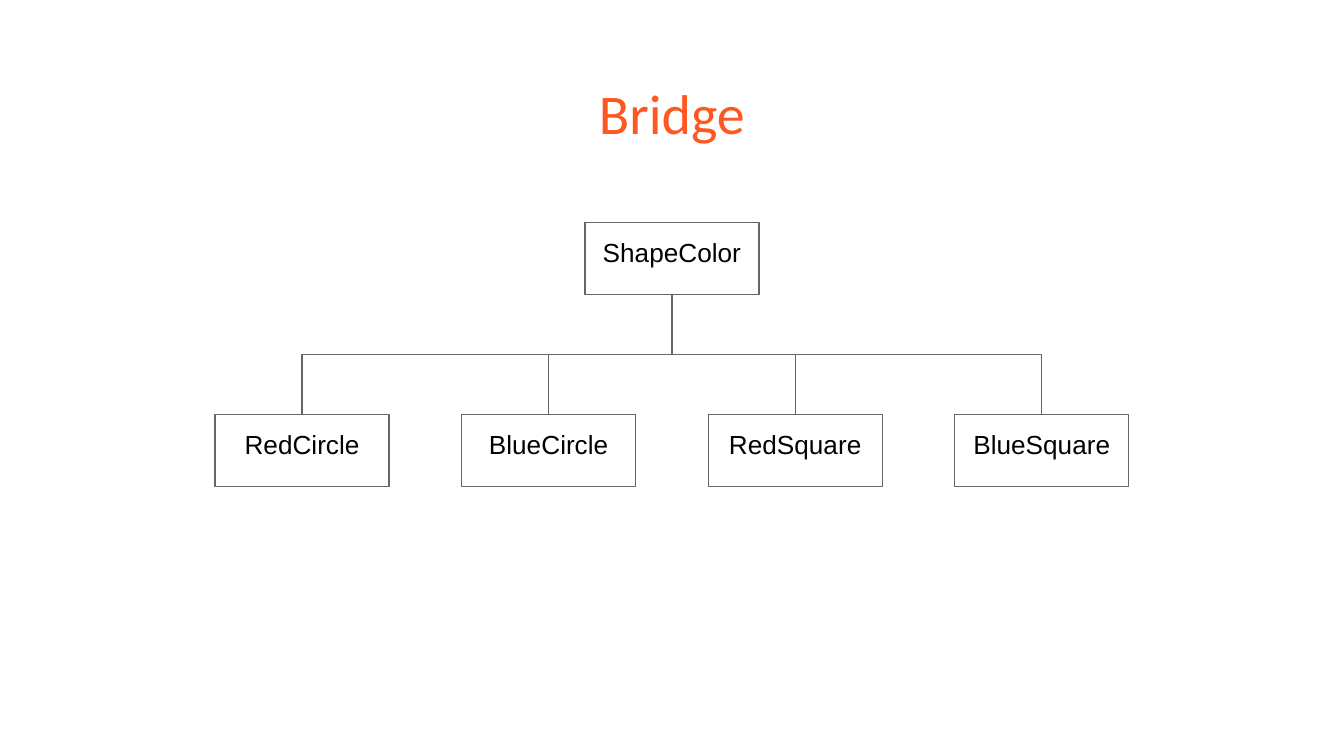
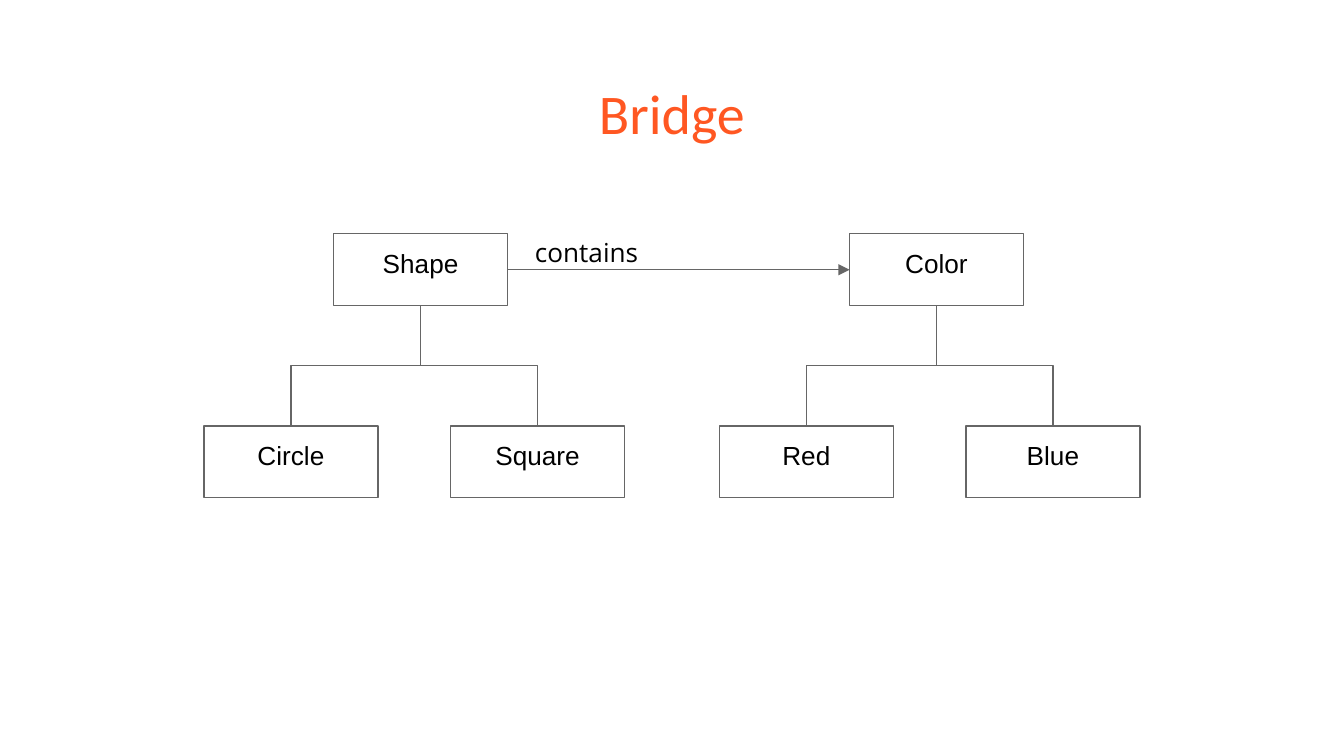
from dataclasses import dataclass

from pptx import Presentation
from pptx.dml.color import RGBColor
from pptx.enum.shapes import MSO_CONNECTOR as Link, MSO_SHAPE as Form
from pptx.enum.text import MSO_ANCHOR as Anchor, PP_ALIGN as Align
from pptx.oxml.ns import qn
from pptx.oxml.xmlchemy import OxmlElement as Element
from pptx.util import Cm, Pt

ORANGE = RGBColor(0xFF, 0x57, 0x22)
GREY = RGBColor(0x66, 0x66, 0x66)
BLACK = RGBColor(0, 0, 0)

BOX_W, BOX_H = 3.29, 1.36
STEP = 4.66  # between the centres of neighbouring children
DROP = 3.63  # from the top of a parent to the top of its children
INSET = Cm(0.25)


@dataclass(frozen=True)
class Style:
    """Look of one piece of text."""
    font: str
    size: int
    color: RGBColor
    align: Align


@dataclass(frozen=True)
class Tree:
    """A parent class and its children, with centres in cm."""
    name: str
    kids: tuple[str, ...]
    x: float
    mid: float
    top: float


TITLE = Style("Calibri", 30, ORANGE, Align.CENTER)
CLASS = Style("Arial", 14, BLACK, Align.CENTER)
LABEL = Style("Open Sans", 14, BLACK, Align.LEFT)


def write(shape, text: str, style: Style) -> None:
    """Put one styled run at the top of a shape."""
    frame = shape.text_frame
    frame.word_wrap = True
    frame.vertical_anchor = Anchor.TOP
    frame.margin_left = frame.margin_right = INSET
    frame.margin_top = frame.margin_bottom = INSET
    para = frame.paragraphs[0]
    para.alignment = style.align
    run = para.add_run()
    run.text = text
    run.font.name = style.font
    run.font.size = Pt(style.size)
    run.font.color.rgb = style.color


def add_text(slide, text: str, style: Style, x: float, y: float,
             wide: float, high: float) -> None:
    """Add a text box, with lengths in cm."""
    write(slide.shapes.add_textbox(Cm(x), Cm(y), Cm(wide), Cm(high)),
          text, style)


def add_box(slide, name: str, x: float, top: float) -> None:
    """Add a class box centred on x."""
    box = slide.shapes.add_shape(Form.RECTANGLE, Cm(x - BOX_W / 2), Cm(top),
                                 Cm(BOX_W), Cm(BOX_H))
    box.shadow.inherit = False
    box.fill.background()
    box.line.color.rgb = GREY
    box.line.width = Pt(0.75)
    write(box, name, CLASS)


def add_line(slide, kind: Link, x1: float, y1: float, x2: float, y2: float):
    """Add a thin grey connector without a shadow."""
    line = slide.shapes.add_connector(kind, Cm(x1), Cm(y1), Cm(x2), Cm(y2))
    line.line.color.rgb = GREY
    line.line.width = Pt(0.75)
    line._element.spPr.append(Element("a:effectLst"))
    return line


def add_elbow(slide, x1: float, y1: float, x2: float, y2: float) -> None:
    """Join two points by a bent line that leaves and arrives vertically."""
    mid_x, mid_y = (x1 + x2) / 2, (y1 + y2) / 2
    half_w, half_h = (y2 - y1) / 2, abs(x2 - x1) / 2
    turn = 90
    if x2 > x1:
        turn, half_w = 270, -half_w
    line = add_line(slide, Link.ELBOW, mid_x - half_w, mid_y - half_h,
                    mid_x + half_w, mid_y + half_h)
    line._element.spPr.find(qn("a:xfrm")).set("rot", str(turn * 60000))


def add_arrow(slide, x1: float, x2: float, y: float) -> None:
    """Add a level line with a triangle at its end."""
    line = add_line(slide, Link.STRAIGHT, x1, y, x2, y)
    tip = Element("a:tailEnd")
    tip.set("type", "triangle")
    line.line._get_or_add_ln().append(tip)


def add_tree(slide, tree: Tree) -> None:
    """Draw a parent, its evenly spaced children and their links."""
    add_box(slide, tree.name, tree.x, tree.top)
    low = tree.top + DROP
    first = tree.mid - STEP * (len(tree.kids) - 1) / 2
    for i, kid in enumerate(tree.kids):
        x = first + i * STEP
        add_box(slide, kid, x, low)
        add_elbow(slide, tree.x, tree.top + BOX_H, x, low)


def add_page(deck, *trees: Tree):
    """Add a titled slide holding the given trees."""
    slide = deck.slides.add_slide(deck.slide_layouts[6])
    add_text(slide, "Bridge", TITLE, 0.86, 1.24, 23.68, 1.6)
    for tree in trees:
        add_tree(slide, tree)
    return slide


deck = Presentation()
deck.slide_width, deck.slide_height = Cm(25.4), Cm(14.29)

add_page(deck, Tree("ShapeColor",
                    ("RedCircle", "BlueCircle", "RedSquare", "BlueSquare"),
                    12.7, 12.7, 4.21))

shape = Tree("Shape", ("Circle", "Square"), 7.95, 7.83, 4.42)
color = Tree("Color", ("Red", "Blue"), 17.7, 17.57, 4.42)
page = add_page(deck, shape, color)
add_arrow(page, shape.x + BOX_W / 2, color.x - BOX_W / 2,
          shape.top + BOX_H / 2)
add_text(page, "contains", LABEL, 9.86, 4.22, 3.1, 1.02)

deck.save("out.pptx")
